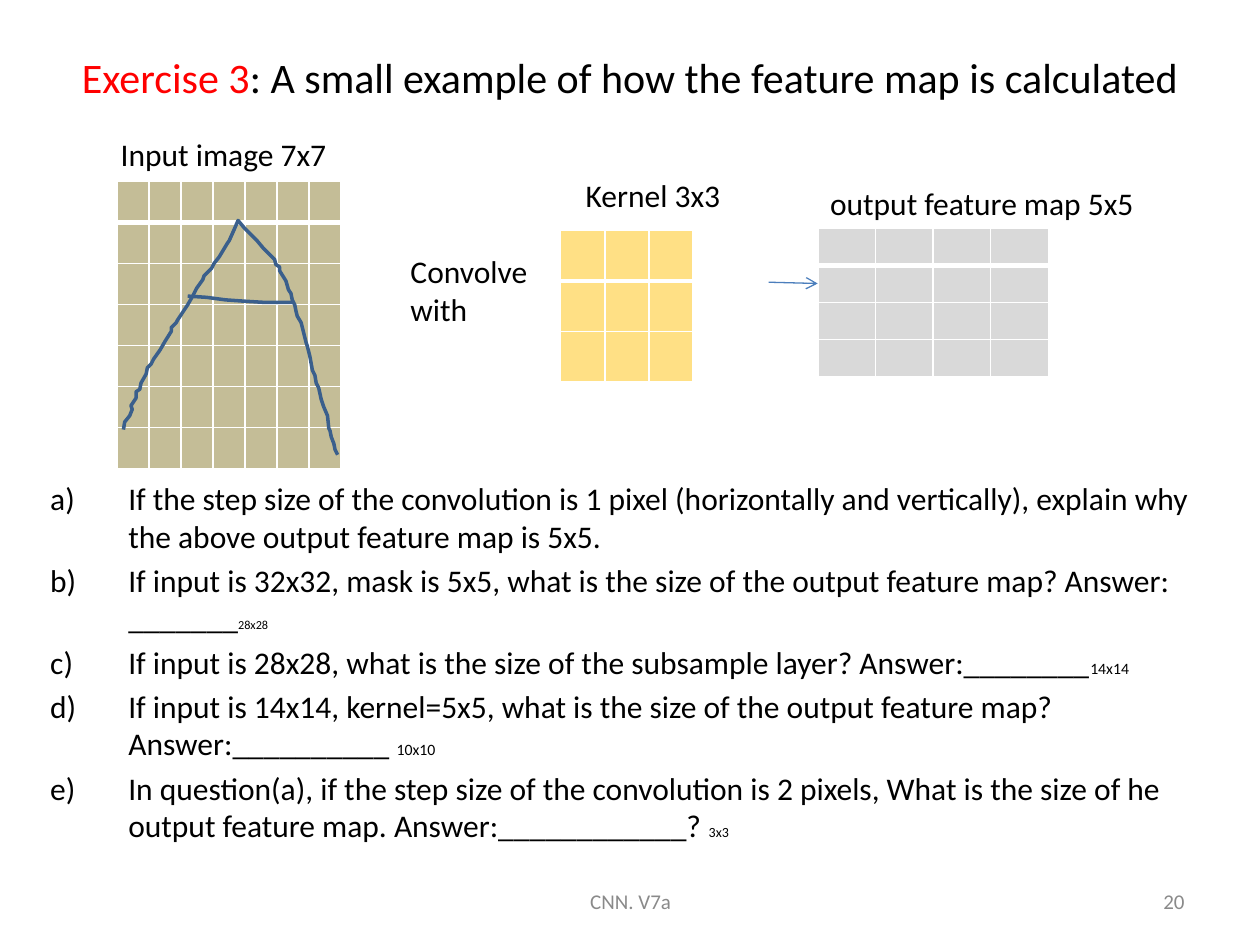
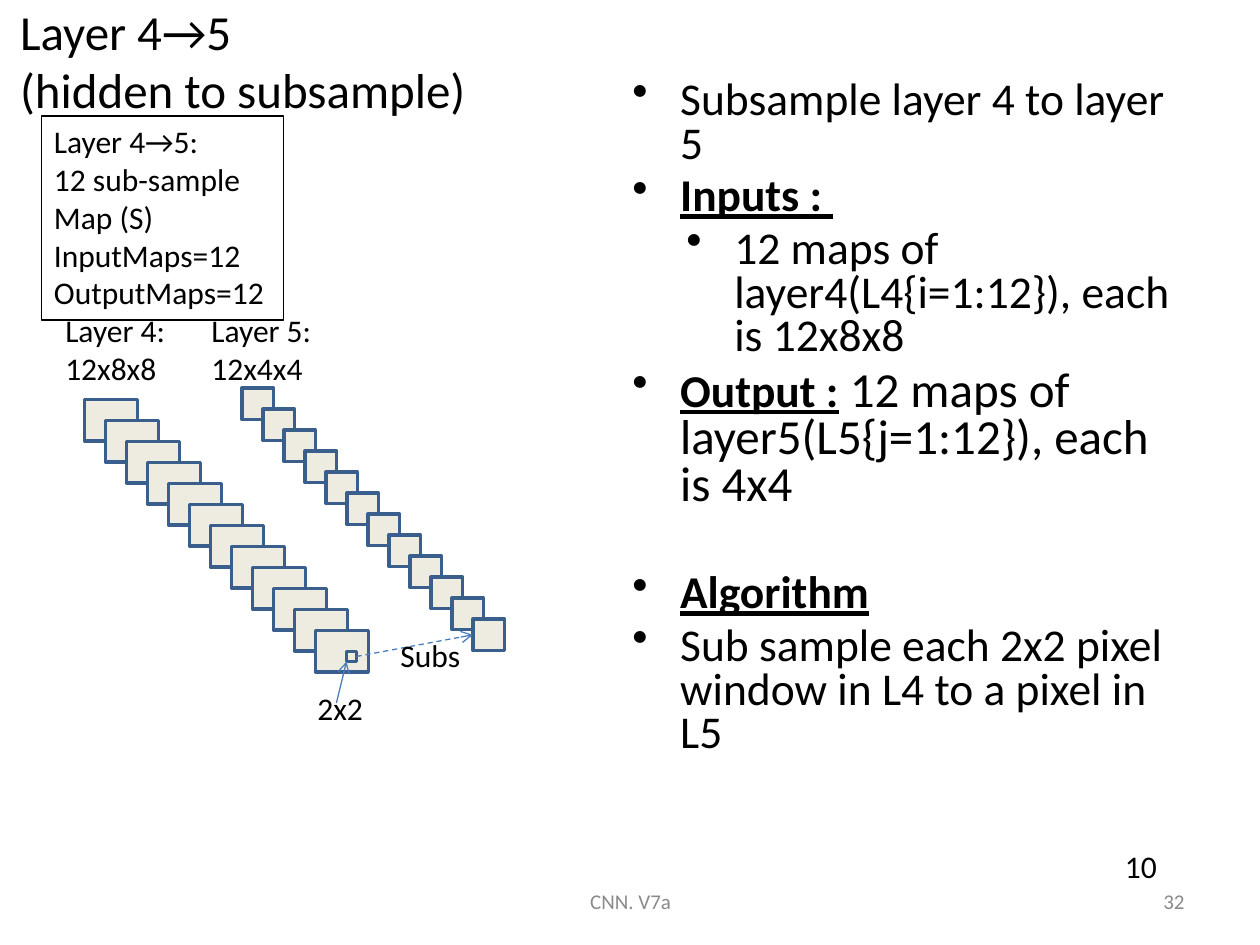
from dataclasses import dataclass
from lxml.etree import SubElement
from pptx import Presentation
from pptx.dml.color import RGBColor
from pptx.enum.dml import MSO_LINE_DASH_STYLE as Dash
from pptx.enum.shapes import MSO_CONNECTOR as Connector, MSO_SHAPE as Preset
from pptx.enum.text import MSO_ANCHOR as Anchor, MSO_AUTO_SIZE as AutoSize, PP_ALIGN as Align
from pptx.oxml.ns import qn
from pptx.util import Inches, Pt


@dataclass(frozen=True)
class Theme:
    font: str = "Calibri"
    text: str = "000000"
    accent: str = "FF0000"
    footer: str = "8A8A8A"
    white: str = "FFFFFF"
    outline: str = "3A5F8C"
    arrow: str = "4B7EBC"
    map_fill: str = "EEECE1"
    image_fill: str = "C4BD97"
    kernel_fill: str = "FFC000"
    output_fill: str = "D9D9D9"
    title_size: int = 24
    large_title_size: int = 28
    body_size: int = 18
    list_size: int = 26
    footer_size: int = 12


THEME = Theme()
FOOTER = "CNN. V7a"

EXERCISE = {
    "number": "20",
    "title": [("Exercise 3", {"color": THEME.accent}),
              (": A small example of how the feature map is calculated", {})],
    "title_box": (0.5, 0.3, 9, 0.62),
    "title_size": THEME.title_size,
    "labels": [
        (["Convolve", "with"], (3.16, 1.95, 1.14, 0.71)),
        (["Kernel 3x3"], (4.55, 1.35, 1.28, 0.4)),
        (["output feature map 5x5"], (6.49, 1.41, 2.67, 0.4)),
        (["Input image 7x7"], (0.86, 1.02, 1.85, 0.4)),
    ],
}
GRIDS = [
    {"rows": 7, "columns": 7, "box": (0.93, 1.44, 1.78, 2.28), "color": THEME.image_fill},
    {"rows": 3, "columns": 3, "box": (4.45, 1.83, 1.05, 1.2), "color": THEME.kernel_fill,
     "opacity": 48},
    {"rows": 4, "columns": 4, "box": (6.49, 1.81, 1.83, 1.18), "color": THEME.output_fill},
]
LETTER_STROKES = [
    [(98, 341), (99, 335), (103, 330), (105, 325), (104, 322), (108, 316), (108, 311),
     (111, 309), (112, 304), (116, 297), (117, 292), (120, 289), (122, 285), (127, 278),
     (131, 271), (136, 263), (136, 260), (140, 256), (141, 254), (145, 248), (149, 242),
     (153, 235), (156, 229), (161, 222), (162, 219), (168, 213), (170, 209), (174, 204),
     (180, 194), (182, 191), (186, 182), (189, 175), (194, 181), (198, 185), (202, 189),
     (204, 191), (209, 197), (216, 204), (218, 206), (219, 210), (222, 212), (222, 215),
     (227, 223), (229, 230), (231, 233), (232, 238), (234, 242), (235, 247), (236, 251),
     (239, 256), (241, 264), (243, 272), (244, 275), (246, 283), (248, 294), (250, 298),
     (251, 304), (253, 308), (255, 317), (257, 323), (260, 330), (261, 340), (262, 342),
     (263, 347), (265, 352), (266, 357), (268, 361)],
    [(149, 235), (164, 236), (179, 238), (193, 239), (210, 240), (232, 240)],
]
QUESTIONS = [
    [("If the step size of the convolution is 1 pixel (horizontally and vertically), "
      "explain why the above output feature map is 5x5.", {})],
    [("If input is 32x32, mask is 5x5, what is the size of the output feature map? "
      "Answer: _______", {}), ("28x28", {"size": 7})],
    [("If input is 28x28, what is the size of the subsample layer? Answer:________", {}),
     ("14x14", {"size": 9})],
    [("If input is 14x14, kernel=5x5, what is the size of the output feature map? "
      "Answer:__________ ", {}), ("10x10", {"size": 9})],
    [("In question(a), if the step size of the convolution is 2 pixels, What is the size of "
      "he output feature map. Answer:____________? ", {}), ("3x3", {"size": 8})],
]

SUBSAMPLE = {
    "number": "32",
    "title": [("Layer 4→5\n(hidden to subsample)", {})],
    "title_box": (0.06, -0.15, 9, 1.25),
    "title_size": THEME.large_title_size,
    "labels": [
        (["Layer 5:", "12x4x4"], (1.58, 2.42, 1, 0.71)),
        (["10"], (8.83, 6.67, 0.46, 0.4)),
        (["Subs"], (3.08, 5, 0.68, 0.4)),
        (["Layer 4:", "12x8x8"], (0.42, 2.42, 1, 0.71)),
        (["2x2"], (2.42, 5.42, 0.58, 0.4)),
    ],
}
SUMMARY = ["Layer 4→5:", "12 sub-sample", "Map (S)", "InputMaps=12", "OutputMaps=12"]
MAP_COUNT = 12
MAP_STEP = 1 / 6
LAYER_4 = (0.67, 3.17, 0.42, 0.33)
LAYER_5 = (1.92, 3.08, 0.25, 0.25)
HEADING = {"bold": True, "underline": True}
NOTES = [
    (0.38, 0, [("Subsample layer 4 to layer 5", {})]),
    (0.38, 5.2, [("Inputs : ", HEADING)]),
    (0.81, 5.2, [("12 maps of layer4(L4{i=1:12}), each is 12x8x8", {})]),
    (0.38, 5.2, [("Output :", HEADING),
                 (" 12 maps of layer5(L5{j=1:12}), each is 4x4", {"size": 28})]),
    (0.38, 36, [("Algorithm", HEADING)]),
    (0.38, 5.2, [("Sub sample each 2x2 pixel window in L4 to a pixel in L5", {})]),
]


def rgb(color):
    return RGBColor.from_string(color)


def inches(box):
    return [Inches(value) for value in box]


def write_runs(paragraph, runs, size, color=THEME.text):
    for text, changes in runs:
        style = {"name": THEME.font, "size": size, "color": color, **changes}
        for index, line in enumerate(text.split("\n")):
            if index:
                paragraph.add_line_break()
            run = paragraph.add_run()
            run.text = line
            for name, value in style.items():
                if name == "color":
                    run.font.color.rgb = rgb(value)
                else:
                    setattr(run.font, name, Pt(value) if name == "size" else value)


def next_paragraph(frame, index):
    return frame.add_paragraph() if index else frame.paragraphs[0]


def write_lines(frame, lines, size=THEME.body_size, color=THEME.text, align=Align.LEFT):
    for index, line in enumerate(lines):
        paragraph = next_paragraph(frame, index)
        paragraph.alignment = align
        write_runs(paragraph, [(line, {})], size, color)


def add_text_box(slide, box, **frame_format):
    frame = slide.shapes.add_textbox(*inches(box)).text_frame
    for name, value in {"word_wrap": True, **frame_format}.items():
        setattr(frame, name, value)
    return frame


def set_bullet(paragraph, margin, hanging, tag, **attributes):
    properties = paragraph._p.get_or_add_pPr()
    properties.set("marL", str(Inches(margin)))
    properties.set("indent", str(-Inches(hanging)))
    SubElement(properties, qn(tag), **attributes)


def add_grid(slide, rows, columns, box, color, opacity=100):
    table = slide.shapes.add_table(rows, columns, *inches(box)).table
    table.horz_banding = False
    for column in table.columns:
        column.width = Inches(box[2] / columns)
    for row_index, row in enumerate(table.rows):
        row.height = Inches(box[3] / rows)
        for cell in row.cells:
            for side in ("left", "right", "top", "bottom"):
                setattr(cell, f"margin_{side}", 0)
            SubElement(cell.text_frame.paragraphs[0]._p, qn("a:endParaRPr"), sz="800")
            properties = cell._tc.get_or_add_tcPr()
            for side in "LRTB":
                thick = (row_index, side) in ((0, "B"), (1, "T"))
                border = SubElement(properties, qn(f"a:ln{side}"), w=str(Pt(3 if thick else 1)))
                fill = SubElement(border, qn("a:solidFill"))
                SubElement(fill, qn("a:srgbClr"), val=THEME.white)
            cell.fill.solid()
            cell.fill.fore_color.rgb = rgb(color)
            if opacity < 100:
                shade = properties.find(qn("a:solidFill")).find(qn("a:srgbClr"))
                SubElement(shade, qn("a:alpha"), val=str(opacity * 1000))


def style_outline(shape, color=THEME.outline, width=2):
    shape.shadow.inherit = False
    shape.line.color.rgb = rgb(color)
    shape.line.width = Pt(width)


def add_stroke(slide, points):
    builder = slide.shapes.build_freeform(*points[0], scale=Inches(0.01))
    builder.add_line_segments(points[1:], close=False)
    stroke = builder.convert_to_shape()
    stroke.fill.background()
    style_outline(stroke)


def add_map(slide, box):
    shape = slide.shapes.add_shape(Preset.RECTANGLE, *inches(box))
    shape.fill.solid()
    shape.fill.fore_color.rgb = rgb(THEME.map_fill)
    style_outline(shape)
    return shape


def add_map_stack(slide, box):
    left, top, width, height = box
    return [add_map(slide, (left + index * MAP_STEP, top + index * MAP_STEP, width, height))
            for index in range(MAP_COUNT)]


def add_arrow(slide, start, end, dash=None):
    arrow = slide.shapes.add_connector(Connector.STRAIGHT, *inches(start + end))
    arrow.line.color.rgb = rgb(THEME.arrow)
    arrow.line.width = Pt(0.75)
    if dash:
        arrow.line.dash_style = dash
    SubElement(arrow.line._get_or_add_ln(), qn("a:tailEnd"), type="arrow")
    SubElement(arrow._element.spPr, qn("a:effectLst"))
    return arrow


def add_base_slide(presentation, content, align):
    slide = presentation.slides.add_slide(presentation.slide_layouts[5])
    title = slide.shapes.title
    for name, value in zip(("left", "top", "width", "height"), inches(content["title_box"])):
        setattr(title, name, value)
    title.text_frame.auto_size = AutoSize.NONE
    title.text_frame.vertical_anchor = Anchor.MIDDLE
    paragraph = title.text_frame.paragraphs[0]
    paragraph.alignment = align
    write_runs(paragraph, content["title"], content["title_size"])
    for text, box, side in ((FOOTER, (3.42, 6.95, 3.17, 0.4), Align.CENTER),
                            (content["number"], (7.17, 6.95, 2.33, 0.4), Align.RIGHT)):
        frame = add_text_box(slide, box, vertical_anchor=Anchor.MIDDLE)
        write_lines(frame, [text], THEME.footer_size, THEME.footer, side)
    return slide


def add_labels(slide, labels):
    for lines, box in labels:
        frame = add_text_box(slide, box, word_wrap=False, auto_size=AutoSize.SHAPE_TO_FIT_TEXT)
        write_lines(frame, lines)


def build_exercise(presentation):
    slide = add_base_slide(presentation, EXERCISE, Align.CENTER)
    for grid in GRIDS:
        add_grid(slide, **grid)
    for points in LETTER_STROKES:
        add_stroke(slide, points)
    add_arrow(slide, (6.1, 2.24), (6.49, 2.25))
    add_labels(slide, EXERCISE["labels"])
    frame = add_text_box(slide, (0.3, 3.75, 9.61, 3.25))
    for index, runs in enumerate(QUESTIONS):
        paragraph = next_paragraph(frame, index)
        set_bullet(paragraph, 0.62, 0.62, "a:buAutoNum", type="alphaLcParenR")
        paragraph.space_before = Pt(3.6 if index else 0)
        write_runs(paragraph, runs, THEME.body_size)


def build_subsample(presentation):
    slide = add_base_slide(presentation, SUBSAMPLE, Align.LEFT)
    add_map_stack(slide, LAYER_4)
    layer_5 = add_map_stack(slide, LAYER_5)
    summary = slide.shapes.add_shape(Preset.RECTANGLE, *inches((0.33, 0.92, 1.92, 1.62)))
    summary.fill.background()
    style_outline(summary, THEME.text, 0.75)
    summary.text_frame.vertical_anchor = Anchor.TOP
    write_lines(summary.text_frame, SUMMARY)
    window = add_map(slide, (2.75, 5.17, 0.08, 0.08))
    link = add_arrow(slide, (2.83, 5.21), (3.75, 5.04), Dash.DASH)
    link.begin_connect(window, 3)
    link.end_connect(layer_5[-1], 1)
    add_labels(slide, SUBSAMPLE["labels"])
    add_arrow(slide, (2.67, 5.58), (2.75, 5.25))
    frame = add_text_box(slide, (4.92, 0.17, 4.5, 7.33), margin_top=Inches(0.47))
    for index, (margin, gap, runs) in enumerate(NOTES):
        paragraph = next_paragraph(frame, index)
        set_bullet(paragraph, margin, 0.38, "a:buChar", char="•")
        paragraph.level = int(margin > 0.38)
        paragraph.line_spacing = 0.8
        paragraph.space_before = Pt(gap)
        write_runs(paragraph, runs, THEME.list_size)


def main():
    presentation = Presentation()
    presentation.slide_width = Inches(10)
    presentation.slide_height = Inches(7.5)
    build_exercise(presentation)
    build_subsample(presentation)
    presentation.save("out.pptx")


if __name__ == "__main__":
    main()
